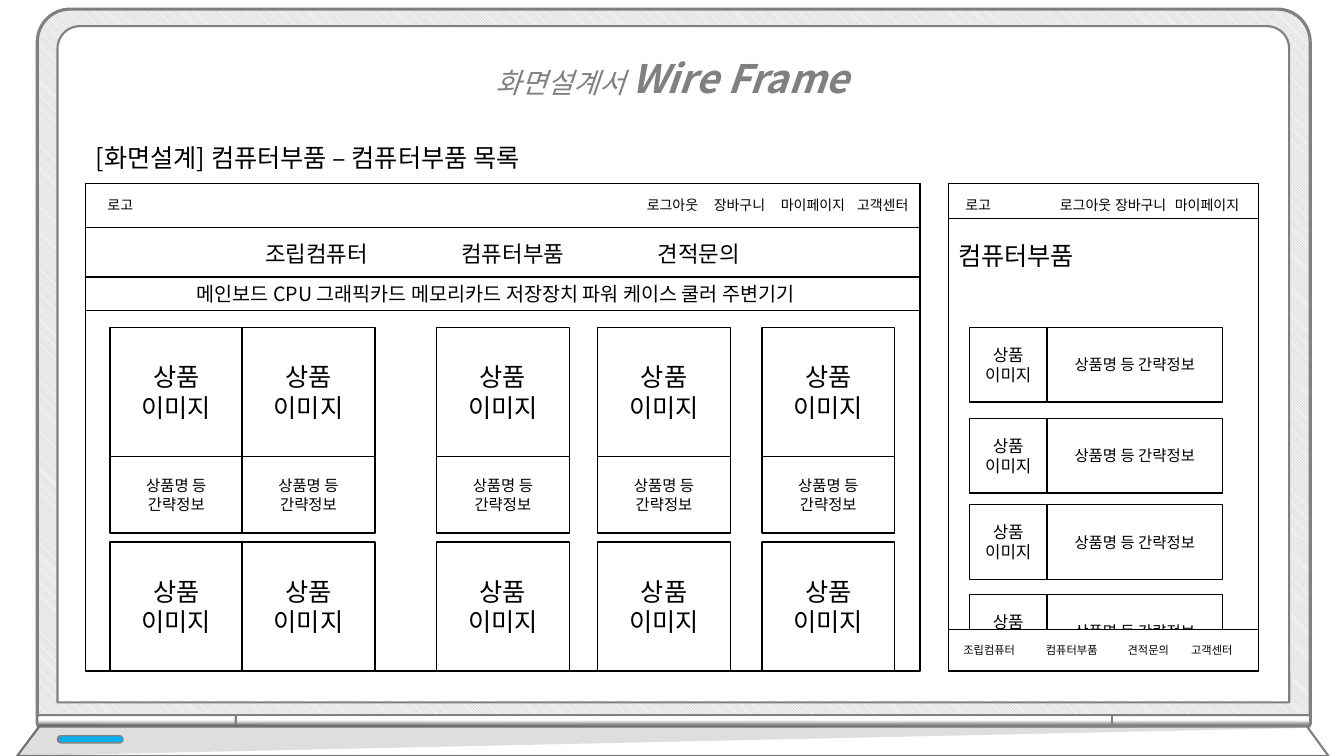
from lxml.etree import SubElement
from pptx import Presentation
from pptx.dml.color import RGBColor
from pptx.enum.dml import MSO_PATTERN as Pattern
from pptx.enum.shapes import MSO_CONNECTOR as Connector, MSO_SHAPE as Shape
from pptx.enum.text import MSO_ANCHOR as Anchor, MSO_AUTO_SIZE as AutoSize, PP_ALIGN as Align
from pptx.oxml.ns import qn
from pptx.util import Cm, Pt

FONT = "Noto Sans CJK KR"
BLACK, WHITE, GRAY = "000000", "FFFFFF", "808080"
CARD_COLUMNS = (0.61, 3.94, 8.84, 12.9, 17.04)
MOBILE_ROWS = (3.63, 5.92, 8.1, 10.36)
FOOTER_LABELS = {"조립컴퓨터": 0.13, "컴퓨터부품": 2.21, "견적문의": 4.27, "고객센터": 5.87}


def color(value):
    return RGBColor.from_string(value)


def set_font(paragraph, size=None, tint=BLACK):
    font = paragraph.font
    font.name = FONT
    font.color.rgb = color(tint)
    if size:
        font.size = Pt(size)
    defaults = paragraph._p.get_or_add_pPr().find(qn("a:defRPr"))
    SubElement(defaults, qn("a:ea")).set("typeface", FONT)


def set_tabs(paragraph, stops):
    properties = paragraph._p.get_or_add_pPr()
    tab_list = SubElement(properties, qn("a:tabLst"))
    for stop in stops:
        tab = SubElement(tab_list, qn("a:tab"))
        tab.set("pos", str(Cm(stop)))
        tab.set("algn", "l")
    properties.find(qn("a:defRPr")).addprevious(tab_list)


def write(shape, text, size, align):
    frame = shape.text_frame
    frame.word_wrap = True
    frame.text = text
    for paragraph in frame.paragraphs:
        paragraph.alignment = align
        set_font(paragraph, size)
    return frame


def add_label(slide, text, left, top, width, height, size, tabs=()):
    label = slide.shapes.add_textbox(Cm(left), Cm(top), Cm(width), Cm(height))
    frame = write(label, text, size, Align.LEFT)
    frame.auto_size = AutoSize.SHAPE_TO_FIT_TEXT
    if tabs:
        set_tabs(frame.paragraphs[0], tabs)


def outline(shape, tint, width):
    shape.shadow.inherit = False
    shape.line.color.rgb = color(tint)
    shape.line.width = Pt(width)


def fill_solid(shape, tint):
    shape.fill.solid()
    shape.fill.fore_color.rgb = color(tint)


def add_box(slide, left, top, width, height, fill=None, text="", size=11, align=Align.CENTER):
    box = slide.shapes.add_shape(Shape.RECTANGLE, Cm(left), Cm(top), Cm(width), Cm(height))
    outline(box, BLACK, 1)
    if fill:
        fill_solid(box, fill)
    else:
        box.fill.background()
    if text:
        write(box, text, size, align).vertical_anchor = Anchor.MIDDLE
    return box


def add_divider(slide, left, top, width, tint):
    line = slide.shapes.add_connector(
        Connector.STRAIGHT, Cm(left), Cm(top), Cm(left + width), Cm(top))
    line.line.color.rgb = color(tint)
    line.line.width = Pt(0.5)
    SubElement(line._element.spPr, qn("a:effectLst"))


def add_polygon(shapes, points):
    start, *others = [(Cm(x), Cm(y)) for x, y in points]
    builder = shapes.build_freeform(*start)
    builder.add_line_segments(others, close=True)
    polygon = builder.convert_to_shape()
    polygon.shadow.inherit = False
    return polygon


def draw_laptop(slide, left, top, width, height):
    shapes = slide.shapes.add_group_shape().shapes

    def add_rounded(kind, x, y, w, h, radii, line_width):
        shape = shapes.add_shape(kind, Cm(x), Cm(y), Cm(w), Cm(h))
        for index, radius in enumerate(radii):
            shape.adjustments[index] = radius
        outline(shape, GRAY, line_width)
        return shape

    # Lid and screen
    rounded_top = Shape.ROUND_2_SAME_RECTANGLE
    lid = add_rounded(rounded_top, left, top, width, height, (0.046, 0), 2.25)
    lid.fill.patterned()
    lid.fill.pattern = Pattern.LIGHT_DOWNWARD_DIAGONAL
    lid.fill.fore_color.rgb = color("BFBFBF")
    lid.fill.back_color.rgb = color("F2F2F2")
    screen = add_rounded(rounded_top, left + 0.51, top + 0.43, width - 1.04,
                         height - 0.97, (0.033, 0), 1.5)
    fill_solid(screen, WHITE)

    # Hinges: upright bars turned to lie along the lower edge
    bottom, thickness, end_length = top + height, 0.3, 5
    hinges = ((left + end_length / 2, end_length, 270, 0.193, 0),
              (left + width - end_length / 2, end_length, 90, 0.193, 180),
              (left + width / 2, width - 2 * end_length, 270, 0, 0))
    for center, length, rotation, radius, angle in hinges:
        hinge = add_rounded(rounded_top, center - thickness / 2, bottom - 0.07 - length / 2,
                            thickness, length, (radius, 0), 1.5)
        hinge.rotation = rotation
        hinge.fill.gradient()
        hinge.fill.gradient_angle = angle
        for stop, (position, tint) in zip(hinge.fill.gradient_stops, ((0.17, GRAY), (0.59, WHITE))):
            stop.position = position
            stop.color.rgb = color(tint)

    # Keyboard base, its shade and the power light
    base = add_polygon(shapes, [(left + 0.05, 18.31), (32.94, 18.31), (33.48, 19.05), (0.43, 19.05)])
    fill_solid(base, WHITE)
    outline(base, GRAY, 1.5)
    shade = add_polygon(shapes, [(left + 0.05, bottom), (0.43, 19.05), (33.07, 18.34)])
    fill_solid(shade, BLACK)
    shade.line.fill.background()
    tint = shade._element.spPr.find(qn("a:solidFill"))[0]
    SubElement(tint, qn("a:alpha")).set("val", "13000")
    light = add_rounded(Shape.ROUNDED_RECTANGLE, left + 0.51, 18.54, 1.65, 0.18, (0.5,), 1)
    fill_solid(light, "00B0F0")


def draw_title(slide, left, top, width, height):
    title = slide.shapes.title
    title.element.getparent().append(title.element)
    title.left, title.top, title.width, title.height = map(Cm, (left, top, width, height))
    frame = title.text_frame
    frame.word_wrap = True
    frame.auto_size = AutoSize.NONE
    frame.vertical_anchor = Anchor.TOP
    paragraph = frame.paragraphs[0]
    paragraph.alignment = Align.CENTER
    paragraph.line_spacing = 1.5
    set_font(paragraph, tint=GRAY)
    paragraph.font.italic = True
    for text, size, bold in (("화면설계서 ", 20, False), ("Wire Frame", 28, True)):
        run = paragraph.add_run()
        run.text = text
        run.font.size = Pt(size)
        run.font.bold = bold


def draw_desktop(slide, left, top, width, height):
    add_box(slide, left, top, width, height, WHITE)

    # Header, menu and part categories
    add_box(slide, left, top, width, 1.12, WHITE)
    add_label(slide, "로고", left + 0.3, top + 0.2, 6.12, 0.69, 10)
    add_label(slide, "로그아웃\t장바구니\t마이페이지\t고객센터",
              left + 13.89, top + 0.2, 7.14, 0.69, 10, (1.69, 3.38, 5.3))
    add_divider(slide, left, top + 2.36, width, "0D0D0D")
    add_label(slide, "조립컴퓨터\t컴퓨터부품\t견적문의",
              left + 4.27, top + 1.3, 13, 0.94, 16, (4.95, 9.9))
    categories = add_box(slide, left, top + 2.36, width, 0.84, size=14, align=Align.LEFT,
                         text="메인보드 CPU 그래픽카드 메모리카드 저장장치 파워 케이스 쿨러 주변기기")
    categories.text_frame.margin_left = Cm(2.79)

    # Product cards; the second row is cut off below its pictures
    card_width, image_height = 3.35, 3.25
    for row_top, has_info in ((top + 3.63, True), (top + height - image_height, False)):
        for column in CARD_COLUMNS:
            add_box(slide, left + column, row_top, card_width, image_height,
                    text="상품\n이미지", size=18)
            if has_info:
                add_box(slide, left + column, row_top + image_height, card_width, 1.93,
                        text="상품명 등 간략정보")


def draw_mobile(slide, left, top, width, height):
    add_box(slide, left, top, width, height, WHITE)

    # Product rows
    image_width, row_height = 1.96, 1.88
    for row in MOBILE_ROWS:
        add_box(slide, left + 0.53, top + row, image_width, row_height,
                text="상품\n이미지", size=12)
        add_box(slide, left + 0.53 + image_width, top + row, 4.42, row_height,
                text="상품명 등 간략정보")

    # Header
    add_label(slide, "로고", left + 0.18, top + 0.2, 1.32, 0.69, 10)
    add_label(slide, "로그아웃\t장바구니\t마이페이지",
              left + 2.56, top + 0.2, 5.2, 0.69, 10, (1.39, 2.9))
    add_divider(slide, left, top + 0.89, width, BLACK)
    add_label(slide, "컴퓨터부품", left, top + 1.3, 5.82, 1.02, 18)

    # Footer menu over the last row
    footer_height = 1.04
    add_box(slide, left, top + height - footer_height, width, footer_height, WHITE)
    for text, offset in FOOTER_LABELS.items():
        add_label(slide, text, left + offset, top + 11.46, 2.1, 0.6, 8)


def main():
    presentation = Presentation()
    presentation.slide_width, presentation.slide_height = Cm(33.87), Cm(19.05)
    slide = presentation.slides.add_slide(presentation.slide_layouts[5])
    draw_laptop(slide, 0.94, 0.23, 32.08, 18.01)
    draw_title(slide, 9.32, 0.64, 15.24, 2.06)
    add_label(slide, "[화면설계] 컴퓨터부품 – 컴퓨터부품 목록", 2.16, 3.45, 14.38, 1.02, 18)
    draw_mobile(slide, 23.9, 4.62, 7.82, 12.29)
    draw_desktop(slide, 2.16, 4.62, 21.03, 12.29)
    presentation.save("out.pptx")


if __name__ == "__main__":
    main()
